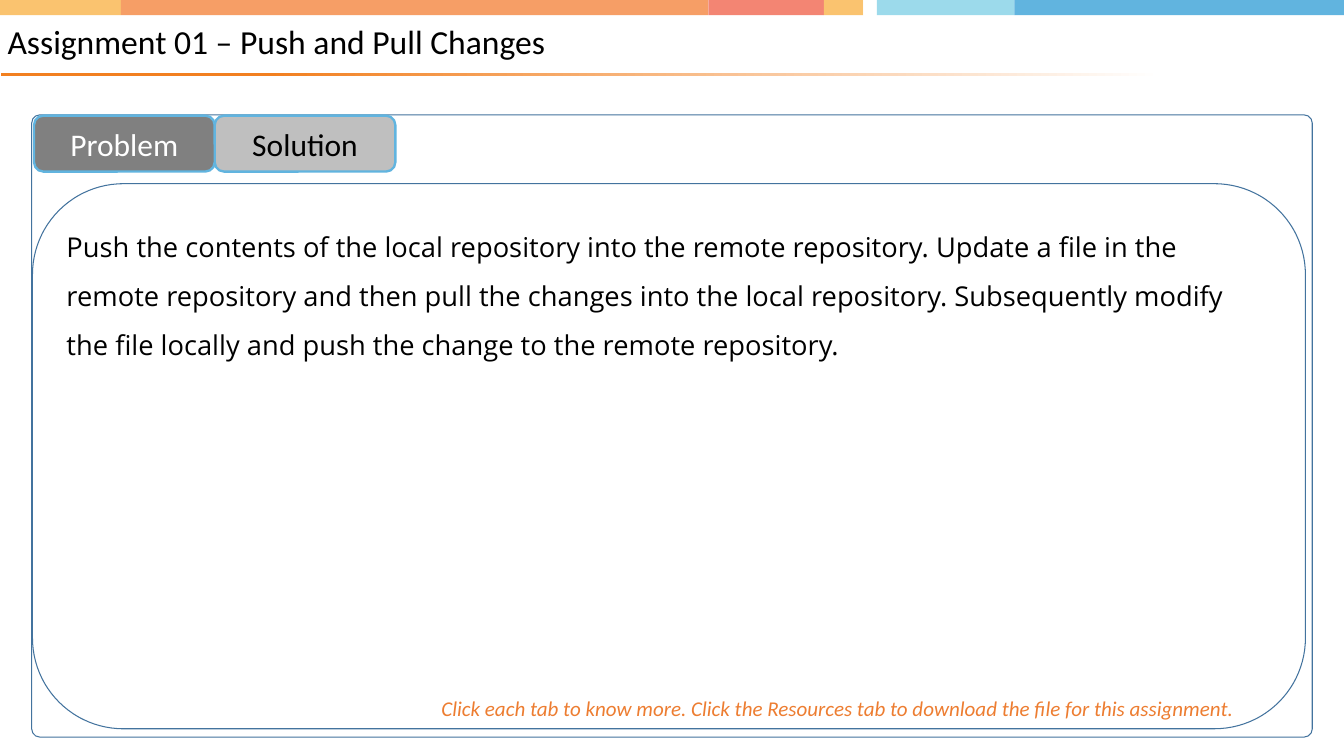
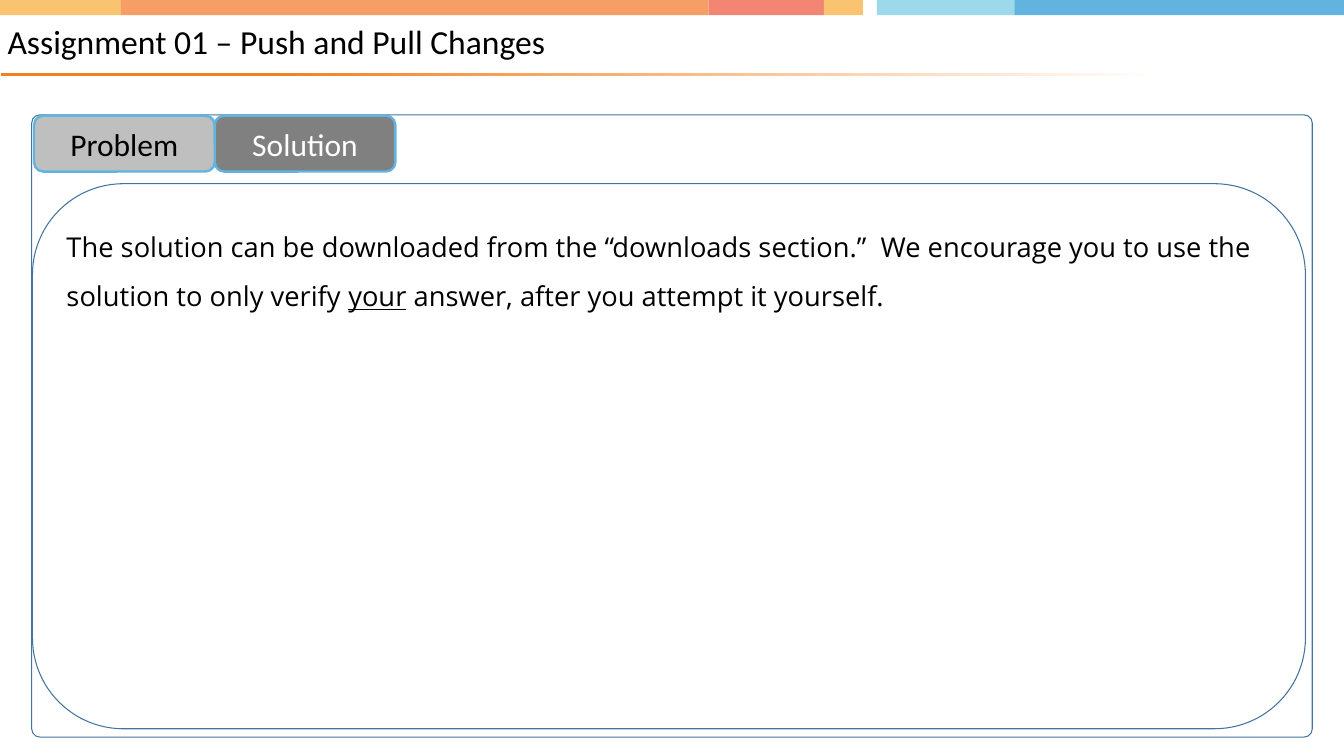
import dataclasses

import pptx
import pptx.dml.color
import pptx.enum.dml
import pptx.enum.shapes
import pptx.enum.text
import pptx.util

PX = 9144  # EMU; 100 px make one inch
WIDTH, HEIGHT = 1778, 1000


@dataclasses.dataclass(frozen=True)
class Theme:
    font: str = "Calibri"
    body_font: str = "Open Sans"
    title_size: int = 32
    tab_size: int = 30
    body_size: int = 26
    hint_size: int = 20
    text: str = "000000"
    white: str = "FFFFFF"
    hint: str = "ED7D31"
    frame: str = "43739E"
    tab_line: str = "61B4DF"
    tab_on: str = "808080"
    tab_off: str = "BFBFBF"
    rule: str = "F28020"


T = Theme()
TITLE = "Assignment 01 – Push and Pull Changes"
TABS = ["Problem", "Solution"]
# Each run is (text, underlined)
SLIDES = [
    {
        "tab": "Problem",
        "body": [("Push the contents of the local repository into the remote repository. "
                  "Update a file in the remote repository and then pull the changes into "
                  "the local repository. Subsequently modify the file locally and push "
                  "the change to the remote repository.", False)],
        "hint": "Click each tab to know more. Click the Resources tab to download "
                "the file for this assignment.",
    },
    {
        "tab": "Solution",
        "body": [("The solution can be downloaded from the “downloads section.”  "
                  "We encourage you to use the solution to only verify ", False),
                 ("your", True),
                 (" answer, after you attempt it yourself.", False)],
        "hint": None,
    },
]
# (left edge, colour); each part runs to the next edge
BAND = [(0, "FAC36F"), (160, "F69E66"), (937, "F38573"), (1090, "FAC36F"),
        (1142, "FFFFFF"), (1160, "9CDAEB"), (1342, "61B4DF")]

RECT = pptx.enum.shapes.MSO_SHAPE.RECTANGLE
ROUND = pptx.enum.shapes.MSO_SHAPE.ROUNDED_RECTANGLE
ANCHOR = pptx.enum.text.MSO_ANCHOR
ALIGN = pptx.enum.text.PP_ALIGN


def rgb(color):
    return pptx.dml.color.RGBColor.from_string(color)


def box(*lengths):
    return [n * PX for n in lengths]


def add_box(s, kind, place, fill=None, line=None, weight=1):
    sp = s.shapes.add_shape(kind, *box(*place))
    sp.shadow.inherit = False
    if fill:
        sp.fill.solid()
        sp.fill.fore_color.rgb = rgb(fill)
    else:
        sp.fill.background()
    if line:
        sp.line.color.rgb = rgb(line)
        sp.line.width = pptx.util.Pt(weight)
    else:
        sp.line.fill.background()
    return sp


def add_run(p, text, size, color=T.text, font=T.font):
    r = p.add_run()
    r.text = text
    r.font.size = pptx.util.Pt(size)
    r.font.name = font
    r.font.color.rgb = rgb(color)
    return r


def move_to_layout(sp, layout, index):
    """Place a drawn shape behind the layout's placeholders."""
    sp.element.nvSpPr.cNvPr.set("id", str(100 + index))
    layout.shapes.element.insert(2 + index, sp.element)


def build_layout(s):
    """Draw the band and title rule once and hand them to the layout of s."""
    edges = [x for x, _ in BAND] + [WIDTH]
    parts = [add_box(s, RECT, (x, -1, end - x, 21), color)
             for (x, color), end in zip(BAND, edges[1:])]

    rule = add_box(s, RECT, (1, 96, 1535, 4))
    rule.fill.gradient()
    rule.fill.gradient_angle = 0
    for stop, position, color in zip(rule.fill.gradient_stops, (0.23, 1), (T.rule, T.white)):
        stop.position = position
        stop.color.rgb = rgb(color)

    for i, sp in enumerate(parts + [rule]):
        move_to_layout(sp, s.slide_layout, i)


def add_title(s):
    title = s.shapes.title
    title.left, title.top, title.width, title.height = box(0, 21, 1455, 73)
    tf = title.text_frame
    tf.auto_size = pptx.enum.text.MSO_AUTO_SIZE.NONE
    tf.vertical_anchor = ANCHOR.MIDDLE
    tf.margin_left = 10 * PX
    tf.margin_top = tf.margin_right = tf.margin_bottom = 0
    p = tf.paragraphs[0]
    p.alignment = ALIGN.LEFT
    p.line_spacing = 0.9
    p.space_before = pptx.util.Pt(13.3)
    add_run(p, TITLE, T.title_size)


def add_panel(s, runs):
    outer = add_box(s, ROUND, (42, 152, 1694, 823), line=T.frame)
    outer.adjustments[0] = 0.013
    tf = add_box(s, ROUND, (43, 243, 1684, 721), line=T.frame).text_frame
    tf.vertical_anchor = ANCHOR.TOP
    p = tf.paragraphs[0]
    p.alignment = ALIGN.LEFT
    p.line_spacing = 1.5
    for text, underlined in runs:
        r = add_run(p, text, T.body_size, font=T.body_font)
        if underlined:
            r.font.underline = True


def add_hint(s, text):
    tf = s.shapes.add_textbox(*box(574, 915, 1100, 44)).text_frame
    tf.word_wrap = True
    add_run(tf.paragraphs[0], text, T.hint_size, T.hint).font.italic = True


def add_tabs(s, active):
    width = 239
    for i, name in reversed(list(enumerate(TABS))):
        fill, color = (T.tab_on, T.white) if name == active else (T.tab_off, T.text)
        sp = add_box(s, ROUND, (45 + i * width, 153, width, 74), fill, T.tab_line, 2.25)
        p = sp.text_frame.paragraphs[0]
        p.alignment = ALIGN.CENTER
        add_run(p, name, T.tab_size, color)


def main():
    prs = pptx.Presentation()
    prs.slide_width, prs.slide_height = box(WIDTH, HEIGHT)
    layout = prs.slide_layouts.get_by_name("Title Only")
    for i, content in enumerate(SLIDES):
        s = prs.slides.add_slide(layout)
        if i == 0:
            build_layout(s)
        add_title(s)
        add_panel(s, content["body"])
        if content["hint"]:
            add_hint(s, content["hint"])
        add_tabs(s, content["tab"])
    prs.save("out.pptx")


if __name__ == "__main__":
    main()
